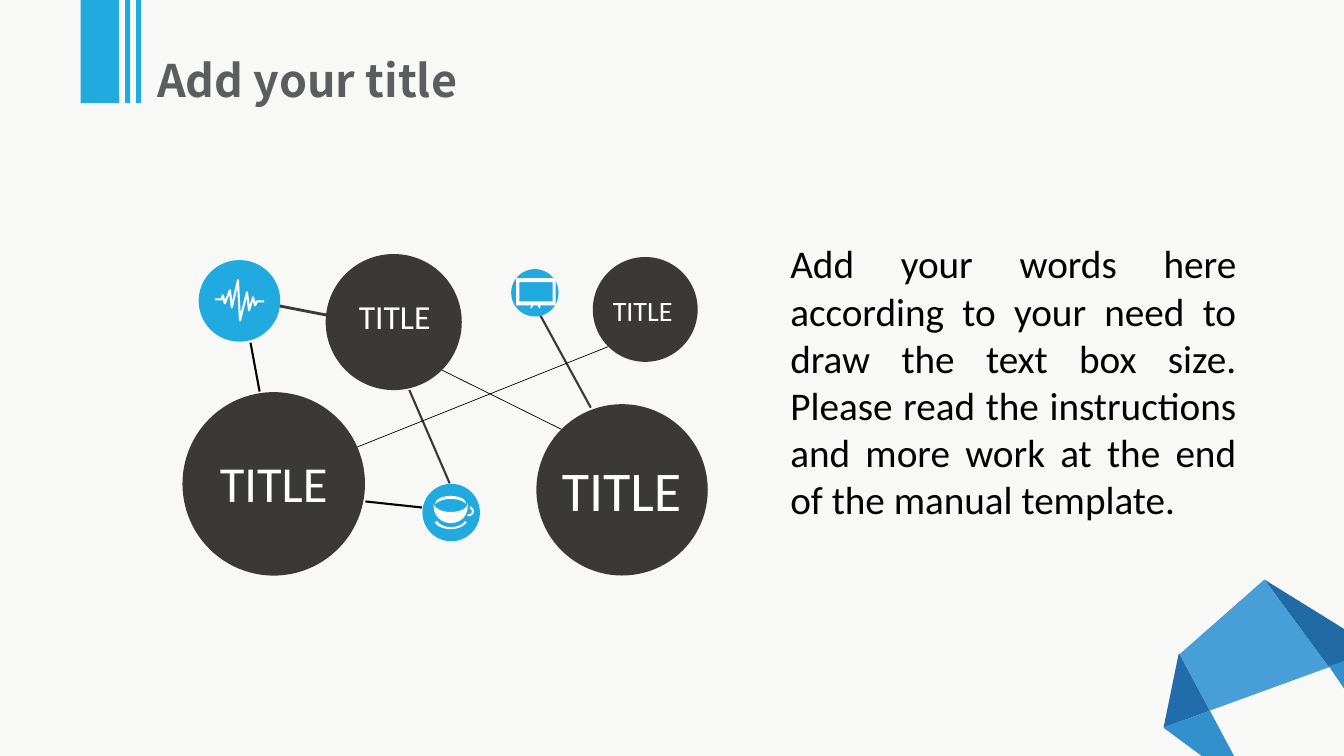
from pptx import Presentation
from pptx import util as u
from pptx.dml.color import RGBColor
from pptx.enum import shapes, text
from pptx.oxml import parse_xml
from pptx.oxml.ns import nsdecls

COLUMNS, ROWS = 1333, 750
CELL = u.Inches(0.01)
PAPER, BLUE, DARK, WHITE, BLACK, GREY = "F8F8F6", "21AAE0", "3B3838", "FFFFFF", "000000", "5C5D5F"
CURVE_STEPS = 6

FACETS = [
    ("216DAB", [(1154, 722), (1169, 649), (1170, 649), (1200, 705)]),
    ("206BA5", [(1318, 662), (1254, 575), (1333, 624), (1333, 656)]),
    ("3290CD", [(1224, 750), (1192, 750), (1154, 722), (1200, 705)]),
    ("489ED7", [(1200, 705), (1170, 649), (1254, 575), (1318, 662)]),
    ("3291CA", [(1333, 683), (1318, 661), (1333, 656)]),
]
LINKS = [
    (BLACK, 1.5, (362.5, 497.5), (418.5, 503.5)),
    (DARK, 1.5, (406, 387), (446, 479.5)),
    (DARK, 1.5, (536, 313), (586, 404.5)),
    (DARK, 2, (277, 303.5), (326, 313)),
    (BLACK, 0.5, (557, 426), (438, 367)),
    (BLACK, 0.5, (353, 444), (603, 344)),
    (BLACK, 1.5, (248.5, 340), (257.5, 388.5)),
]
CIRCLES = [
    (BLUE, (197, 258, 81, 81)),
    (BLUE, (507, 267, 47, 47)),
    (BLUE, (419, 480, 57, 57)),
    (DARK, (323, 252, 135, 135)),
    (DARK, (532, 401, 170, 170)),
    (DARK, (181, 389, 181, 182)),
    (DARK, (588, 255, 104, 104)),
]
PULSE = [(213, 297), (220, 297), (221, 293), (223, 301), (228, 288), (230, 305), (236, 278),
         (238, 318), (245, 290), (247, 308), (251, 295), (253, 303), (255, 299), (262, 299)]
SCREEN = [
    [(512, 276), (551, 276), (551, 303), (536, 303), (536, 305), (535, 306), (533, 303),
     (529, 303), (527, 306), (526, 305), (527, 303), (512, 303)],
    [(515, 280), (515, 299), (548, 299), (548, 280)],
]
SAUCER = [(461, 517), (461, 517), (463, 518), (463, 518), (461, 522), (454, 525), (447, 525),
          (440, 525), (433, 522), (431, 518), (431, 518), (434, 517), (434, 517),
          (435, 520), (441, 523), (447, 523), (453, 523), (459, 521), (461, 517)]
HANDLE = [(466, 502), (466, 503), (466, 504), (466, 505), (467, 505), (468, 506), (468, 507),
          (468, 509), (467, 510), (465, 510), (465, 510), (465, 510), (464, 510),
          (464, 511), (464, 512), (463, 512), (464, 512), (464, 512), (465, 512),
          (468, 512), (470, 510), (470, 507), (470, 505), (468, 503), (466, 502)]
RIM = [(447, 495), (454, 495), (460, 497), (462, 500), (462, 500), (462, 500), (462, 499),
       (462, 495), (455, 492), (447, 492), (439, 492), (432, 495), (432, 499),
       (432, 500), (432, 500), (432, 500), (435, 497), (440, 495), (447, 495)]
BOWL = [(447, 519), (457, 519), (464, 512), (464, 502), (464, 501), (464, 500), (464, 499),
        (464, 504), (457, 508), (447, 508), (438, 508), (430, 504), (430, 499),
        (430, 500), (430, 501), (430, 502), (430, 512), (438, 519), (447, 519)]
BARS = [(80, 38), (124, 5), (135, 5)]
BAR_ROWS = 102
TITLE = ("Add your title", (156, 42, 397, 65), 32, "Noto Sans CJK SC", GREY, "LEFT", 0)
BODY = ("Add your words here according to your need to draw the text box size. Please read the "
        "instructions and more work at the end of the manual template.",
        (774, 233, 462, 293), 28, "Calibri", BLACK, "JUSTIFY", 10)
LABELS = [((338, 289, 107, 50), 24), ((597, 286, 81, 44), 20),
          ((196, 444, 151, 71), 36), ((544, 447, 145, 77), 40)]


def color(value):
    """Turn a hex string into a colour."""
    return RGBColor.from_string(value)


def cells(values):
    """Turn grid cells into slide lengths."""
    return [round(value * CELL) for value in values]


def paint(shape, fill):
    """Give a shape a plain fill without line or shadow."""
    shape.shadow.inherit = False
    shape.fill.solid()
    shape.fill.fore_color.rgb = color(fill)
    shape.line.fill.background()


def add_preset(slide, kind, box, fill):
    """Add a filled preset shape."""
    paint(slide.shapes.add_shape(kind, *cells(box)), fill)


def build_outline(slide, contours, close=True):
    """Build one freeform from one or more contours."""
    first, *others = [[cells(point) for point in contour] for contour in contours]
    builder = slide.shapes.build_freeform(*first[0])
    builder.add_line_segments(first[1:], close=close)
    for contour in others:
        builder.move_to(*contour[0])
        builder.add_line_segments(contour[1:], close=close)
    return builder.convert_to_shape()


def flatten(controls):
    """Sample a chain of cubic curves as points."""
    points = [controls[0]]
    for start in range(0, len(controls) - 1, 3):
        curve = controls[start:start + 4]
        for step in range(1, CURVE_STEPS + 1):
            t = step / CURVE_STEPS
            weights = ((1 - t) ** 3, 3 * t * (1 - t) ** 2, 3 * t * t * (1 - t), t ** 3)
            points.append(tuple(sum(w * p[axis] for w, p in zip(weights, curve)) for axis in (0, 1)))
    return points


def add_link(slide, stroke, width, start, end):
    """Add a straight line between two points."""
    link = slide.shapes.add_connector(shapes.MSO_CONNECTOR.STRAIGHT, *cells(start + end))
    link.line.color.rgb = color(stroke)
    link.line.width = u.Pt(width)
    link._element.spPr.append(parse_xml(f"<a:effectLst {nsdecls('a')}/>"))


def add_text(slide, words, box, size, font, fill, align, inset):
    """Add a text box and return its paragraph."""
    frame = slide.shapes.add_textbox(*cells(box)).text_frame
    frame.word_wrap = True
    frame.margin_left = frame.margin_right = inset * CELL
    frame.text = words
    paragraph = frame.paragraphs[0]
    paragraph.alignment = getattr(text.PP_ALIGN, align)
    run_font = paragraph.runs[0].font
    run_font.name = font
    run_font.size = u.Pt(size)
    run_font.color.rgb = color(fill)
    return paragraph


def main():
    """Build the slide and save it."""
    presentation = Presentation()
    presentation.slide_width, presentation.slide_height = u.Inches(13.33), ROWS * CELL
    slide = presentation.slides.add_slide(presentation.slide_layouts[6])
    slide.background.fill.solid()
    slide.background.fill.fore_color.rgb = color(PAPER)

    for fill, points in FACETS:
        paint(build_outline(slide, [points]), fill)
    for link in LINKS:
        add_link(slide, *link)
    for fill, box in CIRCLES:
        add_preset(slide, shapes.MSO_SHAPE.OVAL, box, fill)

    pulse = build_outline(slide, [PULSE], close=False)
    pulse.shadow.inherit = False
    pulse.fill.background()
    pulse.line.color.rgb = color(WHITE)
    pulse.line.width = u.Pt(1.5)
    cup = [flatten(part) for part in (SAUCER, HANDLE, RIM, BOWL)]
    for icon in (SCREEN, cup):
        paint(build_outline(slide, icon), WHITE)

    for left, width in BARS:
        add_preset(slide, shapes.MSO_SHAPE.RECTANGLE, (left, 0, width, BAR_ROWS), BLUE)
    title = add_text(slide, *TITLE)
    title.line_spacing = 1.2
    title.runs[0].font.bold = True
    title_frame = slide.shapes[-1].text_frame
    title_frame.margin_top = title_frame.margin_bottom = 0
    for box, size in LABELS:
        add_text(slide, "TITLE", box, size, "Calibri", WHITE, "CENTER", 0)
    add_text(slide, *BODY)
    presentation.save("out.pptx")


if __name__ == "__main__":
    main()
